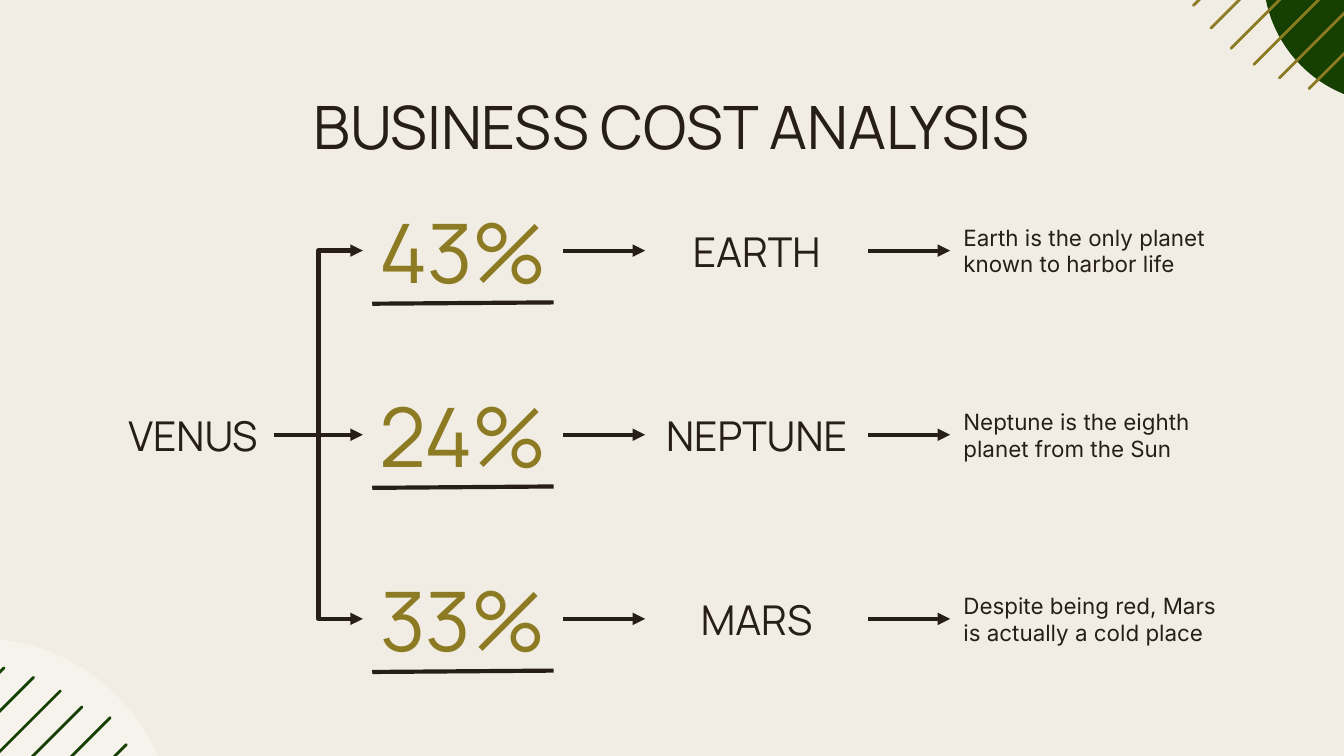
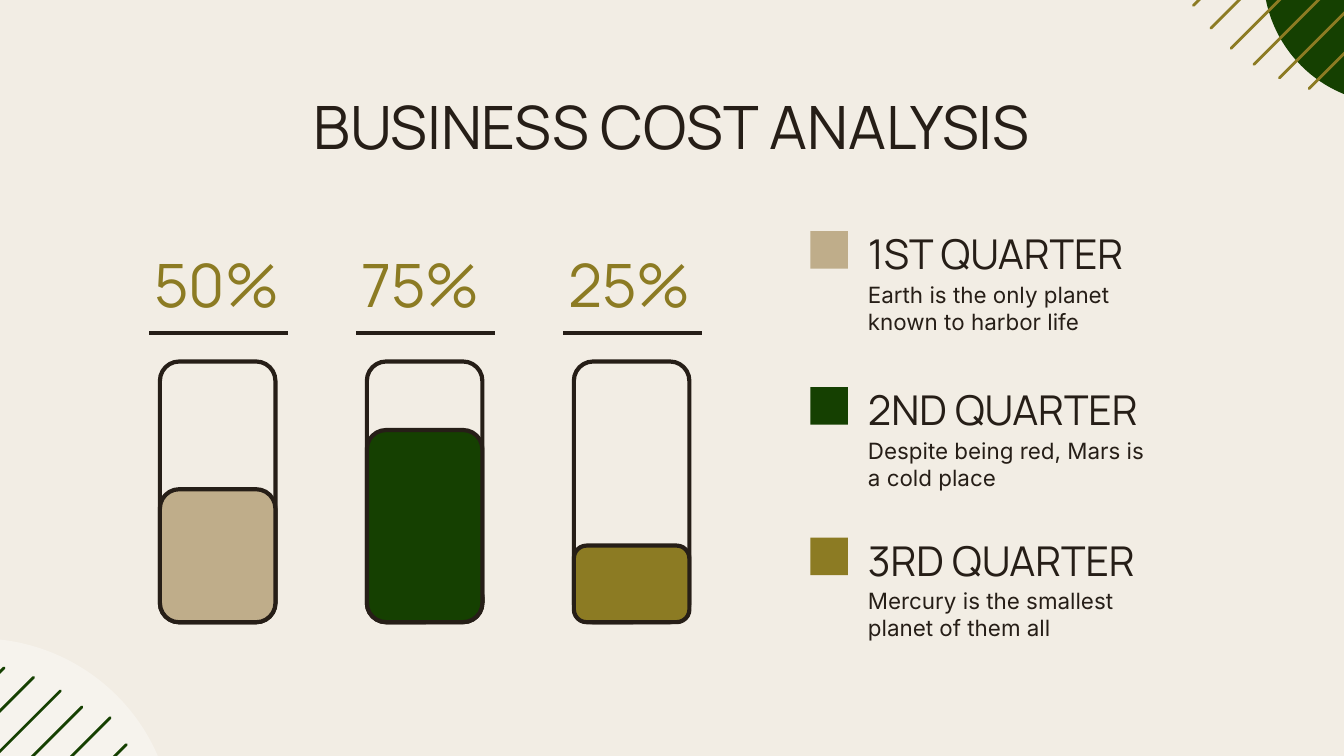
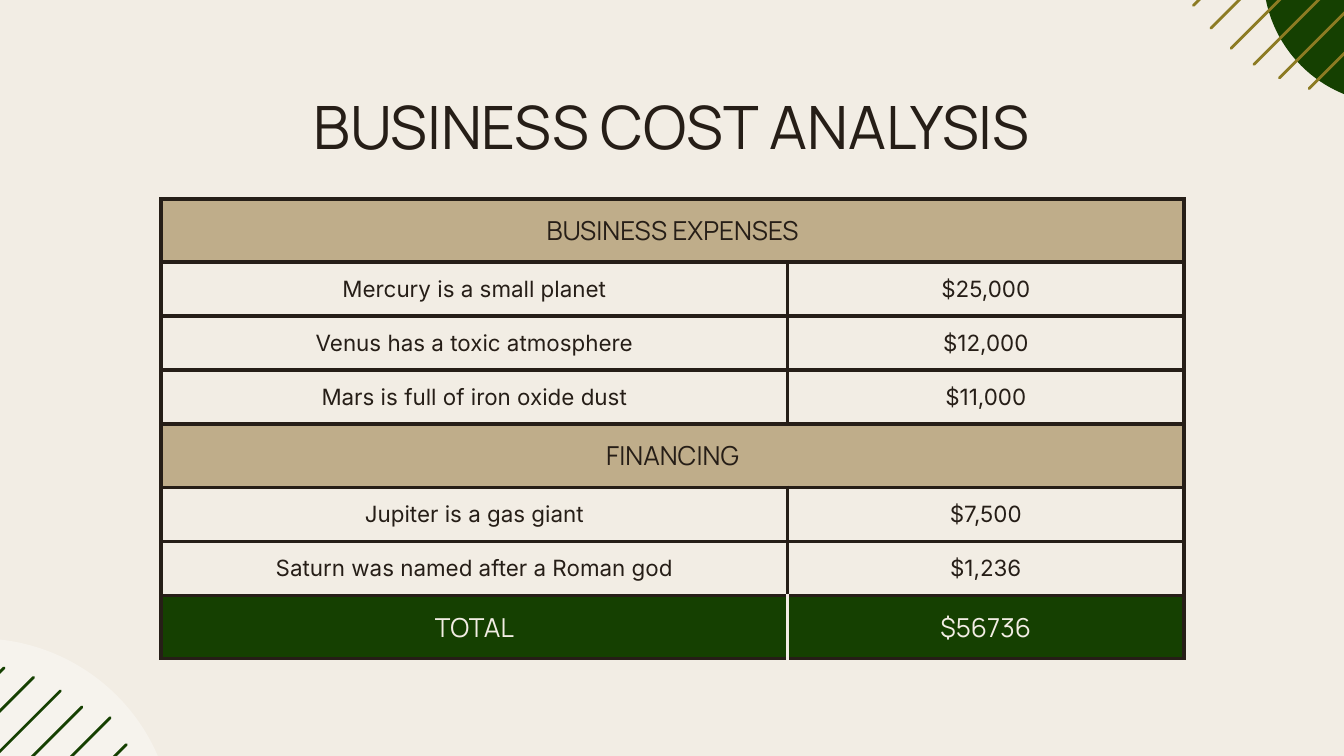
from lxml import etree
from pptx import Presentation
from pptx.dml.color import RGBColor
from pptx.enum.shapes import MSO_CONNECTOR as Connector, MSO_SHAPE as Shape
from pptx.enum.text import MSO_ANCHOR as Anchor, MSO_AUTO_SIZE as AutoSize, PP_ALIGN as Align
from pptx.oxml import parse_xml
from pptx.oxml.ns import nsdecls, qn
from pptx.util import Inches, Pt

INK, CREAM, GREEN, OLIVE, TAN, WHITE = "261E17", "F2EDE4", "154001", "8C7B23", "BFAD8A", "FFFFFF"
HEADING, BODY = "Manrope", "Inter"
color = RGBColor.from_string


def write(holder, text, size, font, ink=INK, align=Align.CENTER, anchor=Anchor.MIDDLE):
    """Fill a shape or a table cell with one styled paragraph."""
    frame = holder.text_frame
    frame.text = text
    para = frame.paragraphs[0]
    para.alignment = align
    for span in para.runs:
        span.font.size, span.font.name = Pt(size), font
        span.font.color.rgb = color(ink)
    if hasattr(holder, "vertical_anchor"):
        area = holder
    else:
        area = frame
        frame.word_wrap, frame.auto_size = True, AutoSize.NONE
    area.vertical_anchor = anchor
    area.margin_left = area.margin_right = area.margin_top = area.margin_bottom = Inches(0.1)


def draw_line(page, x1, y1, x2, y2, ink=INK, weight=2.25, arrow=False, kind=Connector.STRAIGHT):
    line = page.shapes.add_connector(kind, Inches(x1), Inches(y1), Inches(x2), Inches(y2))
    line.line.color.rgb, line.line.width = color(ink), Pt(weight)
    properties = line.element.spPr
    if arrow:
        etree.SubElement(properties.find(qn("a:ln")), qn("a:tailEnd"), type="triangle")
    etree.SubElement(properties, qn("a:effectLst"))
    return line


# Deck and shared layout
deck = Presentation()
deck.slide_width, deck.slide_height = Inches(10), Inches(10 * 9 / 16)
layout = deck.slide_layouts[5]
layout.background.fill.solid()
layout.background.fill.fore_color.rgb = color(CREAM)
for holder in list(layout.placeholders):
    if holder.placeholder_format.idx:
        holder.element.getparent().remove(holder.element)
    else:
        holder.left, holder.top, holder.width, holder.height = map(Inches, (0.78, 0.57, 8.44, 0.77))

pages = []
for number in range(3):
    page = deck.slides.add_slide(layout)
    write(page.shapes.title, "BUSINESS COST ANALYSIS", 32, HEADING, anchor=Anchor.TOP)
    pages.append(page)
flow_page, bars_page, table_page = pages

# Corner circles and hatching, drawn once and moved to the layout
decoration = []
for left, top, width, height, ink in [(9.4, -1.15, 1.92, 1.92, GREEN), (-1.61, 4.75, 2.9, 2.88, WHITE)]:
    circle = flow_page.shapes.add_shape(Shape.OVAL, *map(Inches, (left, top, width, height)))
    circle.fill.solid()
    circle.fill.fore_color.rgb = color(ink)
    circle.line.fill.background()
    circle.shadow.inherit = False
    decoration.append(circle)
    if ink == WHITE:
        tint = circle.element.spPr.find(qn("a:solidFill"))[0]
        etree.SubElement(tint, qn("a:alpha"), val="36000")

upper_ends = [(8.88, 0.04, 1.95), (9.01, 0.21, 2.06), (9.16, 0.36, 2.09),
              (9.33, 0.48, 2.01), (9.52, 0.58, 1.86), (9.74, 0.66, 1.71)]
lower_ends = [(0.03, 4.97, 1.71), (0.25, 5.04, 1.85), (0.45, 5.14, 1.95),
              (0.61, 5.26, 1.99), (0.82, 5.34, 2.06), (0.94, 5.54, 2)]
for ends, ink, direction in [(upper_ends, OLIVE, 1), (lower_ends, GREEN, -1)]:
    for x, y, reach in ends:
        stroke = draw_line(flow_page, x, y, x + direction * reach, y - direction * reach, ink, 1.5)
        stroke.element.spPr.find(qn("a:ln")).set("cap", "rnd")
        decoration.append(stroke)
layout_tree = layout.shapes.element
for position, item in enumerate(decoration, start=2):
    layout_tree.insert(position, item.element)

# Flow: one source, three rows of share, planet and description
row_top, row_step, row_height = 1.48, 1.37, 0.77
source_left, source_right, share_left, share_right = 0.83, 2.04, 2.7, 4.19
planet_left, planet_right, detail_left, detail_right = 4.8, 6.46, 7.07, 9.21
flow_rows = [
    ("43%", "EARTH", "Earth is the only planet known to harbor life"),
    ("24%", "NEPTUNE", "Neptune is the eighth planet from the Sun"),
    ("33%", "MARS", "Despite being red, Mars is actually a cold place"),
]
source_top = row_top + row_step
source_middle = source_top + row_height / 2
box = flow_page.shapes.add_textbox(Inches(source_left), Inches(source_top),
                                   Inches(source_right - source_left), Inches(row_height))
write(box, "VENUS", 22, HEADING)
for row, (share, planet, detail) in enumerate(flow_rows):
    top = row_top + row * row_step
    middle, bottom = top + row_height / 2, top + row_height
    draw_line(flow_page, 2.77, bottom + 0.01, 4.12, bottom)
    for text, left, right, size, font, ink, align in [
        (share, share_left, share_right, 44, HEADING, OLIVE, Align.CENTER),
        (planet, planet_left, planet_right, 22, HEADING, INK, Align.CENTER),
        (detail, detail_left, detail_right, 12, BODY, INK, Align.LEFT),
    ]:
        box = flow_page.shapes.add_textbox(Inches(left), Inches(top), Inches(right - left), Inches(row_height))
        write(box, text, size, font, ink, align)
    for start, end in [(share_right, planet_left), (planet_right, detail_left)]:
        draw_line(flow_page, start, middle, end, middle, arrow=True)
    kind = Connector.STRAIGHT if row == 1 else Connector.ELBOW
    draw_line(flow_page, source_right, source_middle, share_left, middle, arrow=True, kind=kind)

# Bars: an outlined tube, its filled part and its share
bar_left, bar_step, bar_width, bar_top, bar_height = 1.19, 1.54, 0.86, 2.69, 1.94
bars = [("50%", 0.99, TAN), ("75%", 1.43, GREEN), ("25%", 0.57, OLIVE)]
for column, (share, level, ink) in enumerate(bars):
    left = bar_left + column * bar_step
    draw_line(bars_page, left - 0.08, 2.48, left + 0.95, 2.48)
    for height, fill_ink in [(bar_height, None), (level, ink)]:
        tube = bars_page.shapes.add_shape(Shape.ROUNDED_RECTANGLE, Inches(left),
                                          Inches(bar_top + bar_height - height),
                                          Inches(bar_width), Inches(height))
        if fill_ink:
            tube.fill.solid()
            tube.fill.fore_color.rgb = color(fill_ink)
        else:
            tube.fill.background()
        tube.line.color.rgb, tube.line.width = color(INK), Pt(2.25)
        tube.shadow.inherit = False
    box = bars_page.shapes.add_textbox(Inches(left - 0.14), Inches(1.81), Inches(1.14), Inches(0.67))
    write(box, share, 32, HEADING, OLIVE, Align.LEFT, Anchor.BOTTOM)

# Legend of the bars
legend = [
    (1.56, "1ST QUARTER", "Earth is the only planet known to harbor life", TAN),
    (2.72, "2ND QUARTER", "Despite being red, Mars is a cold place", GREEN),
    (3.84, "3RD QUARTER", "Mercury is the smallest planet of them all", OLIVE),
]
for top, quarter, detail, ink in legend:
    for text, offset, size, font, anchor in [(quarter, 0, 22, HEADING, Anchor.BOTTOM),
                                             (detail, 0.43, 12, BODY, Anchor.TOP)]:
        box = bars_page.shapes.add_textbox(Inches(6.36), Inches(top + offset), Inches(2.34), Inches(0.61))
        write(box, text, size, font, INK, Align.LEFT, anchor)
    key = bars_page.shapes.add_shape(Shape.RECTANGLE, Inches(6.03), Inches(top + 0.16), Inches(0.28), Inches(0.28))
    key.fill.solid()
    key.fill.fore_color.rgb = color(ink)
    key.line.fill.background()
    key.shadow.inherit = False

# Cost table: section rows span both columns, the last row is the total
cost_rows = [
    ("BUSINESS EXPENSES", ""),
    ("Mercury is a small planet", "$25,000"),
    ("Venus has a toxic atmosphere", "$12,000"),
    ("Mars is full of iron oxide dust", "$11,000"),
    ("FINANCING", ""),
    ("Jupiter is a gas giant", "$7,500"),
    ("Saturn was named after a Roman god", "$1,236"),
    ("TOTAL", "$56736"),
]
table = table_page.shapes.add_table(len(cost_rows), 2, Inches(1.2), Inches(1.48),
                                    Inches(7.61), Inches(3.4)).table
table.first_row = table.horz_banding = False
table.columns[0].width, table.columns[1].width = Inches(4.66), Inches(2.95)
for row, (item, amount) in enumerate(cost_rows):
    section, total = not amount, item == "TOTAL"
    strong = section or total
    table.rows[row].height = Inches(0.47 if strong else 0.4)
    if section:
        table.cell(row, 0).merge(table.cell(row, 1))
    for column, text in enumerate((item, amount)):
        cell = table.cell(row, column)
        write(cell, text, 14 if strong else 12, HEADING if strong else BODY, CREAM if total else INK)
        if strong:
            cell.fill.solid()
            cell.fill.fore_color.rgb = color(GREEN if total else TAN)
        else:
            cell.fill.background()
        inner_side = "L" if column else "R"
        for position, side in enumerate("LRTB"):
            edge = CREAM if total and side == inner_side else INK
            border = parse_xml(f'<a:ln{side} {nsdecls("a")} w="{Pt(2.25)}"><a:solidFill>'
                               f'<a:srgbClr val="{edge}"/></a:solidFill></a:ln{side}>')
            cell._tc.get_or_add_tcPr().insert(position, border)

deck.save("out.pptx")
